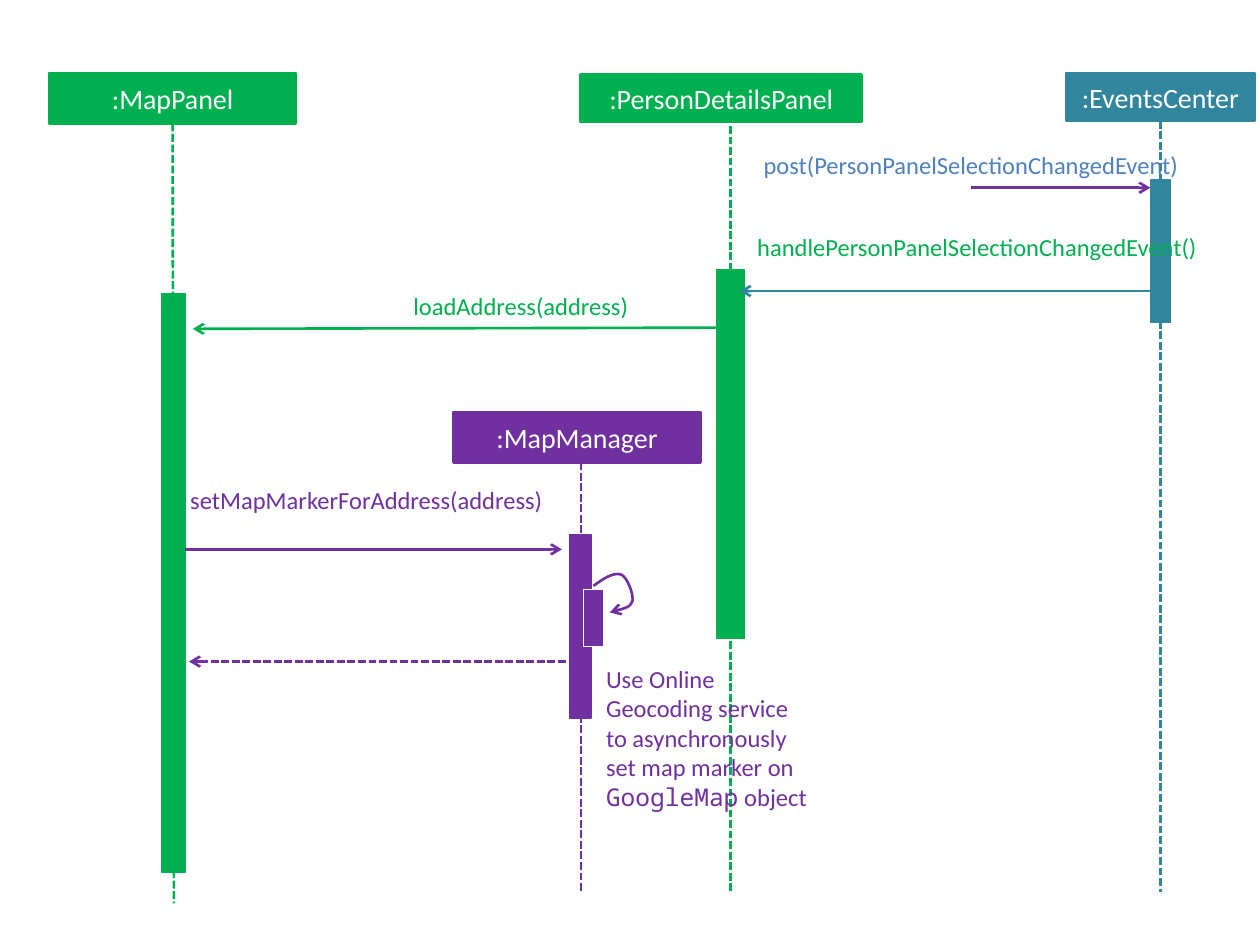
from dataclasses import dataclass

from lxml.etree import SubElement
from pptx import Presentation
from pptx.dml.color import RGBColor as RGB
from pptx.enum.dml import MSO_LINE_DASH_STYLE as DASH
from pptx.enum.shapes import MSO_CONNECTOR as CONN, MSO_SHAPE as SHAPE
from pptx.enum.text import MSO_ANCHOR as ANCHOR, MSO_AUTO_SIZE as AUTO, PP_ALIGN as ALIGN
from pptx.oxml.ns import qn
from pptx.util import Inches, Pt


@dataclass(frozen=True)
class Theme:
    """Colours, fonts and sizes of the sequence diagram."""
    green: str = "00B050"
    teal: str = "31859C"
    purple: str = "7030A0"
    blue: str = "4F81BD"
    white: str = "FFFFFF"
    font: str = "Calibri"
    mono: str = "Noto Sans Mono"
    head: int = 16
    label: int = 14
    stroke: float = 1.5
    thin: float = 0.75


T = Theme()


def add_text(p, text, color=T.white, size=T.label, font=T.font):
    """Add one formatted run to a paragraph."""
    r = p.add_run()
    r.text = text
    r.font.name, r.font.size = font, Pt(size)
    r.font.color.rgb = RGB.from_string(color)


def style_line(s, color, width=T.stroke, dashed=False, arrow=False):
    """Set colour, width, dash and end arrowhead of an outline."""
    s.line.color.rgb = RGB.from_string(color)
    s.line.width = Pt(width)
    if dashed:
        s.line.dash_style = DASH.SQUARE_DOT
    if arrow:
        SubElement(s._element.spPr.get_or_add_ln(), qn("a:tailEnd"), type="arrow")


def add_rect(slide, box, color, outline=None, width=T.thin):
    """Add a filled rectangle without shadow."""
    s = slide.shapes.add_shape(SHAPE.RECTANGLE, *map(Inches, box))
    s.shadow.inherit = False
    s.fill.solid()
    s.fill.fore_color.rgb = RGB.from_string(color)
    style_line(s, outline or color, width)
    return s


def add_head(slide, name, box, color):
    """Add the named box on top of a lifeline."""
    s = add_rect(slide, box, color, width=T.stroke)
    tf = s.text_frame
    tf.word_wrap, tf.vertical_anchor = True, ANCHOR.MIDDLE
    p = tf.paragraphs[0]
    p.alignment = ALIGN.CENTER
    add_text(p, name, size=T.head)
    return s


def add_line(slide, start, end, color, **style):
    """Add a straight line between two points."""
    s = slide.shapes.add_connector(CONN.STRAIGHT, *map(Inches, (*start, *end)))
    style_line(s, color, **style)
    SubElement(s._element.spPr, qn("a:effectLst"))
    return s


def add_lifeline(slide, start, end, color, head=None):
    """Add a dashed lifeline, joined to its head when centred below it."""
    s = add_line(slide, start, end, color, dashed=True)
    if head is not None:
        s.begin_connect(head, 2)


def add_label(slide, box, color, *parts):
    """Add a text box from (text, font) parts."""
    s = slide.shapes.add_textbox(*map(Inches, box))
    tf = s.text_frame
    tf.word_wrap, tf.auto_size = True, AUTO.SHAPE_TO_FIT_TEXT
    tf.margin_left = tf.margin_right = tf.margin_top = tf.margin_bottom = 0
    for text, font in parts:
        add_text(tf.paragraphs[0], text, color, font=font)


def add_curve(slide, points, color):
    """Add an open cubic curve ending in an arrowhead."""
    start, *rest = [(Inches(x), Inches(y)) for x, y in points]
    builder = slide.shapes.build_freeform(*start)
    builder.add_line_segments(rest, close=False)
    s = builder.convert_to_shape()
    s.shadow.inherit = False
    s.fill.background()
    style_line(s, color, arrow=True)
    segments = list(s._element.iter(qn("a:lnTo")))
    path = segments[0].getparent()
    for i in range(0, len(segments), 3):
        bezier = SubElement(path, qn("a:cubicBezTo"))
        for segment in segments[i:i + 3]:
            bezier.append(segment[0])
            path.remove(segment)


def add_events_center(slide):
    """Draw the event source with its incoming post."""
    add_label(slide, (6.06, 1.19, 3.48, 0.24), T.blue,
              ("post(PersonPanelSelectionChangedEvent)", T.font))
    head = add_head(slide, ":EventsCenter", (8.46, 0.58, 1.5, 0.38), T.teal)
    add_lifeline(slide, (9.21, 0.96), (9.21, 7.08), T.teal, head)
    add_rect(slide, (9.13, 1.43, 0.16, 1.13), T.teal)
    add_line(slide, (7.71, 1.49), (9.13, 1.49), T.purple, arrow=True)


def add_details_panel(slide):
    """Draw the details panel with the event it handles and its call."""
    add_head(slide, ":PersonDetailsPanel", (4.61, 0.59, 2.23, 0.38), T.green)
    add_lifeline(slide, (5.8, 1), (5.8, 7.08), T.green)
    add_rect(slide, (5.69, 2.14, 0.22, 2.93), T.green)
    add_line(slide, (9.13, 2.31), (5.87, 2.31), T.teal, arrow=True)
    add_label(slide, (6.01, 1.84, 3.95, 0.24), T.green,
              ("handlePersonPanelSelectionChangedEvent()", T.font))
    add_line(slide, (5.87, 2.6), (1.53, 2.61), T.green, arrow=True)
    add_label(slide, (3.28, 2.31, 2.21, 0.24), T.green, ("loadAddress(address)", T.font))
    add_label(slide, (4.81, 5.27, 1.61, 1.18), T.purple,
              ("Use Online Geocoding service to asynchronously set map marker on ", T.font),
              ("GoogleMap", T.mono), (" object", T.font))


def add_map_panel(slide):
    """Draw the map panel."""
    head = add_head(slide, ":MapPanel", (0.39, 0.58, 1.96, 0.4), T.green)
    add_lifeline(slide, (1.37, 0.98), (1.38, 7.17), T.green, head)
    add_rect(slide, (1.28, 2.33, 0.19, 4.59), T.green)


def add_map_manager(slide):
    """Draw the map manager with its call, return and self call."""
    add_head(slide, ":MapManager", (3.6, 3.27, 1.96, 0.4), T.purple)
    add_lifeline(slide, (4.61, 3.67), (4.61, 7.08), T.purple)
    add_rect(slide, (4.52, 4.24, 0.17, 1.46), T.purple)
    add_line(slide, (1.47, 4.36), (4.46, 4.36), T.purple, arrow=True)
    add_label(slide, (1.51, 3.85, 3.61, 0.24), T.purple,
              ("setMapMarkerForAddress(address)", T.font))
    add_line(slide, (4.49, 5.25), (1.5, 5.25), T.purple, dashed=True, arrow=True)
    add_curve(slide, [(4.71, 4.65), (4.79, 4.59), (4.87, 4.54), (4.93, 4.56), (4.98, 4.58),
                      (5.03, 4.72), (5.02, 4.77), (5, 4.82), (4.92, 4.84), (4.84, 4.86)], T.purple)
    add_rect(slide, (4.63, 4.68, 0.16, 0.45), T.purple, outline=T.white)


def main():
    """Build the sequence diagram and save it."""
    prs = Presentation()
    prs.slide_width, prs.slide_height = Inches(10), Inches(7.5)
    slide = prs.slides.add_slide(prs.slide_layouts[6])
    add_events_center(slide)
    add_details_panel(slide)
    add_map_panel(slide)
    add_map_manager(slide)
    prs.save("out.pptx")


if __name__ == "__main__":
    main()
